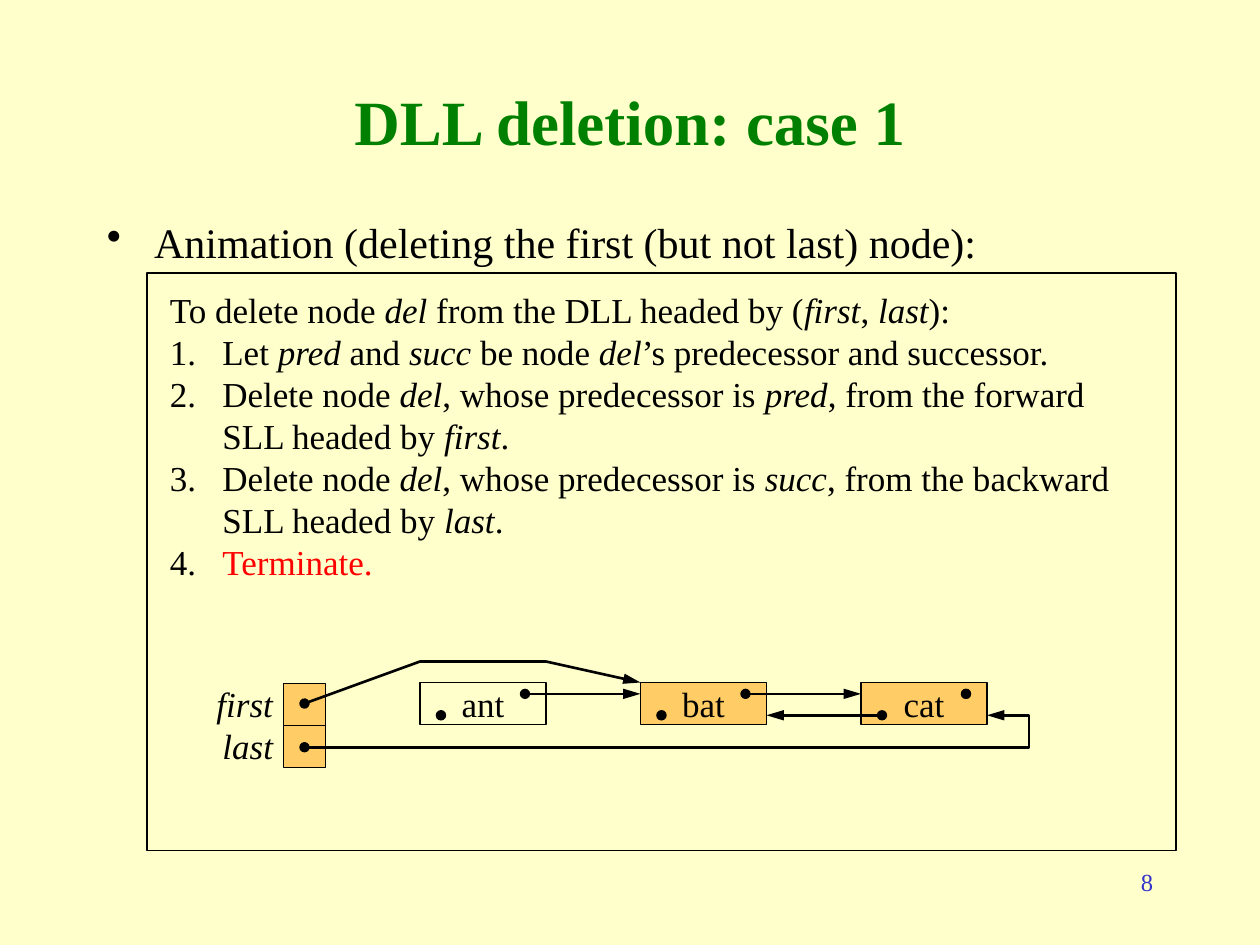
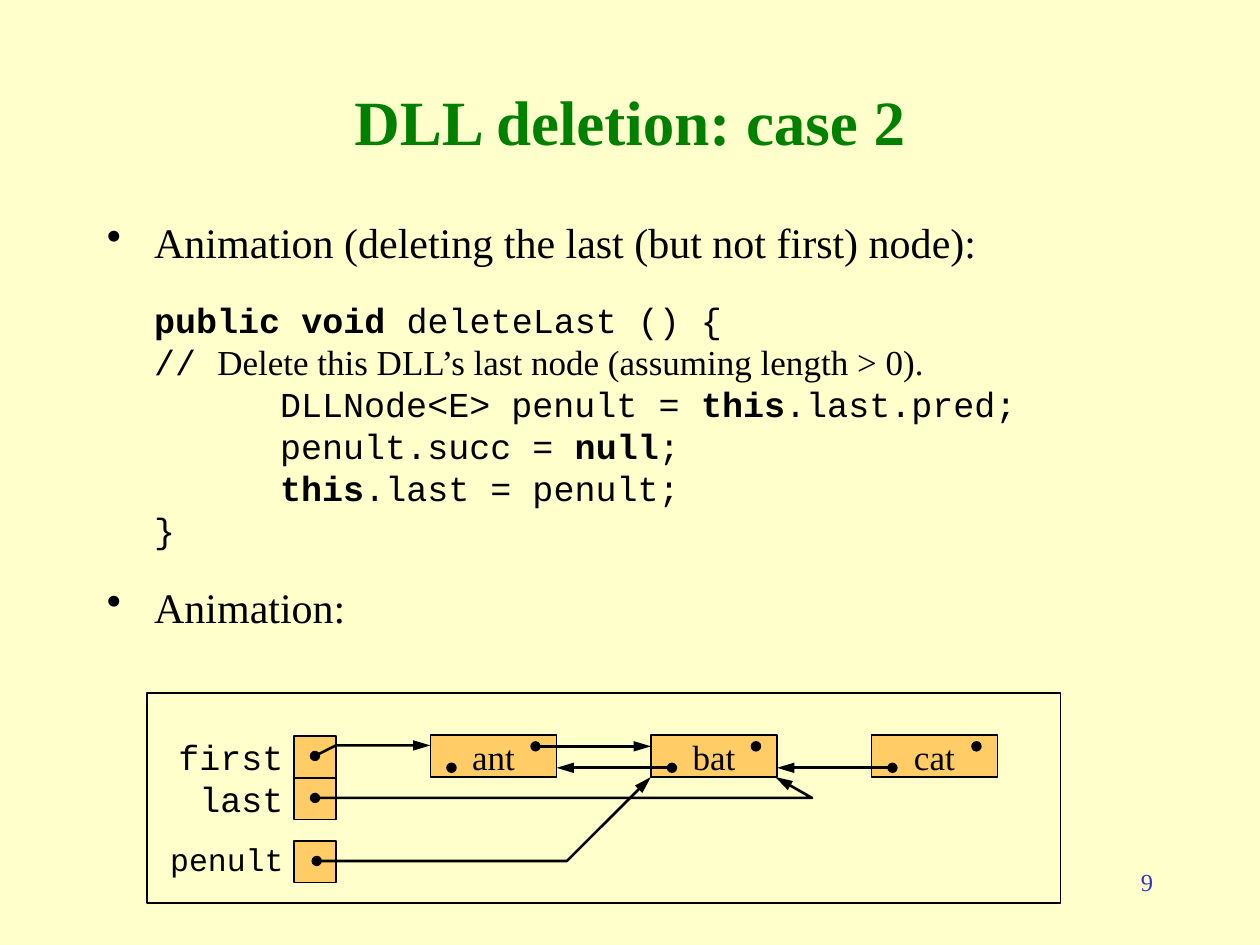
from lxml import etree
from pptx import Presentation
from pptx.dml.color import RGBColor
from pptx.enum import shapes, text
from pptx.oxml import ns
from pptx.util import Pt

# Shared look
CREAM = RGBColor(0xFF, 0xFF, 0xCC)
ORANGE = RGBColor(0xFF, 0xCC, 0x66)
GREEN = RGBColor(0x00, 0x80, 0x00)
BLUE = RGBColor(0x33, 0x33, 0xCC)
RED = RGBColor(0xFF, 0x00, 0x00)
BLACK = RGBColor(0x00, 0x00, 0x00)
SERIF = "Times New Roman"
MONO = "Courier New"
ITALIC = {"italic": True}
BOLD = {"bold": True}

# List diagram measures, in points
CELL = 24
NODE_WIDTH = 72
NODE_STEP = 126
DOT = 6
SUCC = (60, 6.5)
PRED = (12, 18.75)


def add_element(parent, tag, **attributes):
    return etree.SubElement(parent, ns.qn(tag), attributes)


# Text
def write(paragraph, marked, size=20, font=SERIF, color=BLACK, emphasis=ITALIC):
    """Write text in which *stars* enclose the emphasised parts."""
    paragraph.line_spacing = Pt(1.2 * size)
    for index, part in enumerate(marked.split("*")):
        if not part:
            continue
        run = paragraph.add_run()
        run.text = part
        run.font.size = Pt(size)
        run.font.name = font
        run.font.color.rgb = color
        if index % 2:
            for name, value in emphasis.items():
                setattr(run.font, name, value)


def indent(paragraph, left, hanging=0, bullet=None):
    """Set the margin and, if given, a bullet tag with its attributes."""
    properties = paragraph._p.get_or_add_pPr()
    properties.set("marL", str(Pt(left)))
    properties.set("indent", str(Pt(-hanging)))
    if bullet:
        tag, attributes = bullet
        add_element(add_element(properties, "a:buClr"), "a:srgbClr", val=str(BLACK))
        add_element(properties, tag, **attributes)


def add_text(slide, left, top, width, height, margins=(7.2, 3.6)):
    box = slide.shapes.add_textbox(Pt(left), Pt(top), Pt(width), Pt(height))
    frame = box.text_frame
    frame.word_wrap = True
    frame.margin_left = frame.margin_right = Pt(margins[0])
    frame.margin_top = frame.margin_bottom = Pt(margins[1])
    return frame


def next_paragraph(frame):
    first = frame.paragraphs[0]
    return frame.add_paragraph() if first.runs else first


def add_bullet(frame, content):
    paragraph = next_paragraph(frame)
    indent(paragraph, 27, 27, ("a:buChar", {"char": "•"}))
    if paragraph is not frame.paragraphs[0] and len(frame.paragraphs) > 1:
        paragraph.space_before = Pt(18)
    write(paragraph, content, 24)


def add_label(slide, left, top, width, content, size=20, font=SERIF):
    paragraph = add_text(slide, left, top, width, CELL, (0, 0)).paragraphs[0]
    paragraph.alignment = text.PP_ALIGN.RIGHT
    write(paragraph, content, size, font)


# Shapes
def add_box(slide, left, top, width, height, fill=ORANGE, kind=shapes.MSO_SHAPE.RECTANGLE):
    box = slide.shapes.add_shape(kind, Pt(left), Pt(top), Pt(width), Pt(height))
    box.shadow.inherit = False
    if fill is None:
        box.fill.background()
    else:
        box.fill.solid()
        box.fill.fore_color.rgb = fill
    box.line.color.rgb = BLACK
    box.line.width = Pt(0.75)
    return box


def add_cell(slide, left, top):
    add_box(slide, left, top, CELL, CELL)


def add_dot(slide, x, y):
    dot = add_box(slide, x - DOT / 2, y - DOT / 2, DOT, DOT, BLACK, shapes.MSO_SHAPE.OVAL)
    dot.line.fill.background()


def add_node(slide, left, top, name, fill=ORANGE):
    frame = add_box(slide, left, top, NODE_WIDTH, CELL, fill).text_frame
    frame.margin_left = frame.margin_right = frame.margin_top = frame.margin_bottom = 0
    frame.vertical_anchor = text.MSO_ANCHOR.TOP
    paragraph = frame.paragraphs[0]
    paragraph.alignment = text.PP_ALIGN.CENTER
    write(paragraph, name)


def style_link(link):
    """Draw a link from a round start to an arrowhead."""
    link.line.color.rgb = BLACK
    link.line.width = Pt(1.5)
    line = link.element.spPr.find(ns.qn("a:ln"))
    add_element(line, "a:headEnd", type="oval")
    add_element(line, "a:tailEnd", type="triangle", w="med", len="lg")


def add_arrow(slide, start_x, end_x, y):
    arrow = slide.shapes.add_connector(
        shapes.MSO_CONNECTOR.STRAIGHT, Pt(start_x), Pt(y), Pt(end_x), Pt(y))
    style_link(arrow)
    add_element(arrow.element.spPr, "a:effectLst")


def add_bent_arrow(slide, *points):
    start, *rest = [(Pt(x), Pt(y)) for x, y in points]
    builder = slide.shapes.build_freeform(*start)
    builder.add_line_segments(rest, close=False)
    arrow = builder.convert_to_shape()
    arrow.shadow.inherit = False
    arrow.fill.background()
    style_link(arrow)


def add_nodes(slide, left, top, succ_links, pred_links, unfilled=()):
    """Draw the three nodes; a field without a link shows as a dot."""
    for index, name in enumerate(("ant", "bat", "cat")):
        x = left + index * NODE_STEP
        add_node(slide, x, top, name, None if name in unfilled else ORANGE)
    for index, name in enumerate(("ant", "bat", "cat")):
        x = left + index * NODE_STEP
        succ_x, succ_y = x + SUCC[0], top + SUCC[1]
        pred_x, pred_y = x + PRED[0], top + PRED[1]
        if name in succ_links:
            add_arrow(slide, succ_x, x + NODE_STEP, succ_y)
        else:
            add_dot(slide, succ_x, succ_y)
        if name in pred_links:
            add_arrow(slide, pred_x, x - NODE_STEP + NODE_WIDTH, pred_y)
        else:
            add_dot(slide, pred_x, pred_y)


def add_slide(presentation, title, number):
    """Add a slide with its title and number, and return it with its body."""
    slide = presentation.slides.add_slide(presentation.slide_layouts[6])
    slide.background.fill.solid()
    slide.background.fill.fore_color.rgb = CREAM
    number_paragraph = add_text(slide, 516, 492, 150, 36).paragraphs[0]
    number_paragraph.alignment = text.PP_ALIGN.RIGHT
    write(number_paragraph, number, 14, color=BLUE)
    frame = add_text(slide, 54, 42, 612, 54)
    frame.vertical_anchor = text.MSO_ANCHOR.MIDDLE
    frame.paragraphs[0].alignment = text.PP_ALIGN.CENTER
    write(frame.paragraphs[0], f"*{title}*", 36, color=GREEN, emphasis=BOLD)
    return slide, add_text(slide, 54, 120, 612, 366)


def build_first_case(presentation):
    slide, body = add_slide(presentation, "DLL deletion: case 1", "8")
    add_bullet(body, "Animation (deleting the first (but not last) node):")
    add_box(slide, 84, 156, 588, 330, CREAM)

    # Algorithm
    algorithm = add_text(slide, 90, 161.25, 569, 176)
    write(algorithm.paragraphs[0],
          "To delete node *del* from the DLL headed by (*first*, *last*):")
    steps = [
        ("Let *pred* and *succ* be node *del*’s predecessor and successor.", BLACK),
        ("Delete node *del*, whose predecessor is *pred*, "
         "from the forward SLL headed by *first*.", BLACK),
        ("Delete node *del*, whose predecessor is *succ*, "
         "from the backward SLL headed by *last*.", BLACK),
        ("Terminate.", RED),
    ]
    for step, color in steps:
        paragraph = next_paragraph(algorithm)
        indent(paragraph, 30, 30, ("a:buAutoNum", {"type": "arabicPeriod"}))
        write(paragraph, step, color=color)

    # List after the deletion
    for row, name in enumerate(("first", "last")):
        add_cell(slide, 162, 390.75 + row * CELL)
        add_label(slide, 114, 390 + row * CELL, 42, f"*{name}*")
    add_nodes(slide, 240, 390, ("ant", "bat"), ("cat",), unfilled=("ant",))
    add_bent_arrow(slide, (174, 402), (240, 378), (312, 378), (366, 390))
    add_bent_arrow(slide, (174, 427), (588, 427), (588, 408.75), (564, 408.75))


def build_last_case(presentation):
    slide, body = add_slide(presentation, "DLL deletion: case 2", "9")
    add_bullet(body, "Animation (deleting the last (but not first) node):")

    # Code
    code = [
        (27, "*public void* deleteLast () {", BOLD),
        (27, "// *Delete this DLL’s last node (assuming length > 0).*", {"name": SERIF}),
        (99, "DLLNode<E> penult = *this*.last.pred;", BOLD),
        (99, "penult.succ = *null*;", BOLD),
        (99, "*this*.last = penult;", BOLD),
        (27, "}", BOLD),
    ]
    for index, (left, line, emphasis) in enumerate(code):
        paragraph = next_paragraph(body)
        indent(paragraph, left)
        if index == 0:
            paragraph.space_before = Pt(18)
        write(paragraph, line, font=MONO, emphasis=emphasis)
    add_bullet(body, "Animation:")

    # List after the deletion
    add_box(slide, 84, 396, 522, 120, CREAM)
    for name, top, size in (("first", 420, 20), ("last", 444, 20), ("penult", 480, 18)):
        add_cell(slide, 168, top + 0.5)
        add_label(slide, 90, top, 72, name, size, MONO)
    add_nodes(slide, 246, 420, ("ant",), ("bat", "cat"))
    add_bent_arrow(slide, (180, 432), (192, 426), (246, 426))
    add_bent_arrow(slide, (180, 456), (464, 456), (443, 444))
    add_bent_arrow(slide, (181, 492), (324, 492), (372, 444))


def main():
    presentation = Presentation()
    presentation.slide_width = Pt(720)
    presentation.slide_height = Pt(540)
    build_first_case(presentation)
    build_last_case(presentation)
    presentation.save("out.pptx")


if __name__ == "__main__":
    main()
